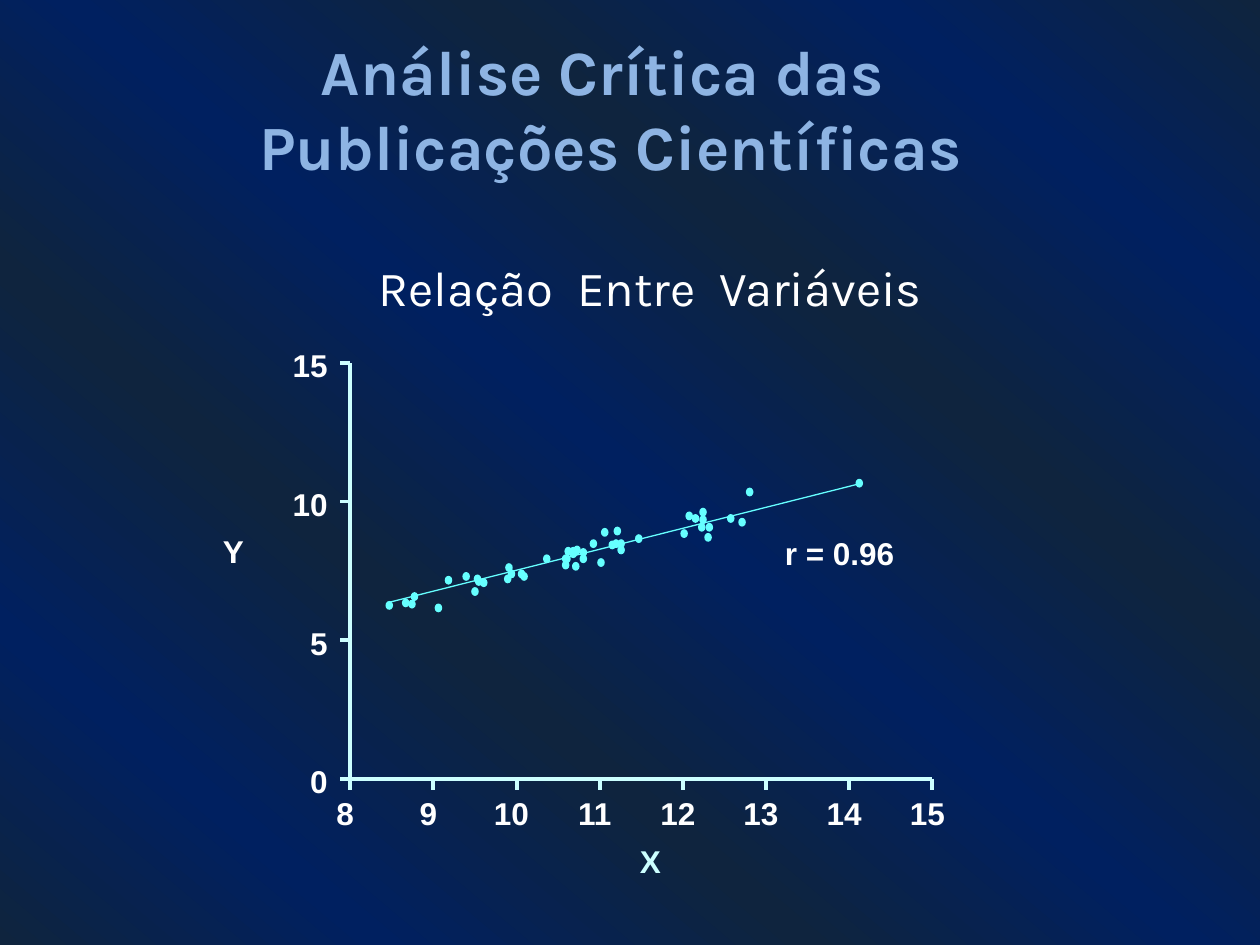
"""Build a slide with a hand-drawn scatter plot of two related variables."""
from dataclasses import dataclass

from lxml import etree
from pptx import Presentation
from pptx import util as u
from pptx.dml.color import RGBColor
from pptx.enum import shapes, text
from pptx.oxml.ns import qn


@dataclass(frozen=True)
class Theme:
    """Colours, fonts and sizes of the deck."""
    title: str = "8EB4E3"
    white: str = "FFFFFF"
    axis: str = "CCFFFF"
    dot: str = "66FFFF"
    dark: str = "0F243E"
    navy: str = "002060"
    heading_font: str = "Karla"
    label_font: str = "Arial"
    title_size: int = 36
    subtitle_size: int = 28
    label_size: int = 18
    axis_width: float = 2.25
    trend_width: float = 0.75


THEME = Theme()
COLUMNS, ROWS = 100, 75
ORIGIN_X, ORIGIN_Y = 27.8, 61.8
X_STEP, Y_STEP = 6.6, 11
X_TICKS, Y_TICKS = range(8, 16), range(0, 16, 5)
DOT_WIDTH, DOT_HEIGHT = 0.6, 0.7
DOTS = [
    (48.3, 42.9), (30.6, 47.7), (48.7, 41.8), (37.4, 46.6), (40.1, 44.7), (56, 41.5),
    (54.9, 40.8), (44.6, 44.5), (40, 45.6), (44.7, 44), (43.1, 44), (58.6, 41.1),
    (54.4, 40.6), (32.4, 47.6), (37.7, 45.8), (34.5, 47.9), (45.4, 44.6), (55.5, 40.9),
    (31.9, 47.5), (49, 42.8), (48.6, 42.8), (46, 43.5), (45.5, 43.3), (38.1, 45.9),
    (44.6, 44), (57.7, 40.8), (44.8, 43.4), (36.7, 45.4), (35.3, 45.7), (47.4, 44.3),
    (37.6, 45.6), (50.4, 42.4), (45.2, 43.4), (40.3, 45.2), (32.6, 47), (55.9, 42.3),
    (46.8, 42.8), (46, 44), (45.2, 43.6), (41.1, 45.2), (41.3, 45.4), (55.5, 40.3),
    (49, 43.3), (55.4, 41.5), (67.9, 38), (59.2, 38.7), (54, 42), (47.7, 41.9),
]


def write(para, words, *, size, color, font, bold=False, gap=0):
    """Add formatted text to a paragraph, widening its spaces by gap points."""
    pieces = [words]
    if gap:
        pieces = words.replace(" ", "| |").split("|")
    for piece in pieces:
        for number, line in enumerate(piece.split("\n")):
            if number:
                para.add_line_break()
            span = para.add_run()
            span.text = line
            span.font.size = u.Pt(size)
            span.font.name = font
            span.font.bold = bold
            span.font.color.rgb = RGBColor.from_string(color)
            if piece == " ":
                span.font._element.set("spc", str(gap * 100))


class Page:
    """Hold the theme and current slide, and draw on its grid."""

    def __init__(self, deck, theme):
        """Add a blank slide to the deck."""
        self.theme = theme
        self.column = deck.slide_width / COLUMNS
        self.row = deck.slide_height / ROWS
        self.slide = deck.slides.add_slide(deck.slide_layouts[6])

    def place(self, *lengths):
        """Turn alternating columns and rows into slide lengths."""
        units = (self.column, self.row) * 2
        return [u.Emu(round(length * unit)) for length, unit in zip(lengths, units)]

    def background(self, stops, angle):
        """Fill the background with a gradient of several stops."""
        self.slide.background.fill.gradient()
        gradient = self.slide.element.find(".//" + qn("a:gradFill"))
        stop_list = gradient.find(qn("a:gsLst"))
        for stop in list(stop_list):
            stop_list.remove(stop)
        for share, color in stops:
            stop = etree.SubElement(stop_list, qn("a:gs"), pos=str(share * 1000))
            etree.SubElement(stop, qn("a:srgbClr"), val=color)
        gradient.find(qn("a:lin")).set("ang", str(angle * 60000))

    def line(self, start, end, color, width):
        """Draw a straight line between two grid points."""
        line = self.slide.shapes.add_connector(
            shapes.MSO_CONNECTOR.STRAIGHT, *self.place(*start, *end))
        line.line.color.rgb = RGBColor.from_string(color)
        line.line.width = u.Pt(width)
        etree.SubElement(line._element.spPr, qn("a:effectLst"))

    def dot(self, left, top):
        """Draw one data point."""
        dot = self.slide.shapes.add_shape(
            shapes.MSO_SHAPE.OVAL, *self.place(left, top, DOT_WIDTH, DOT_HEIGHT))
        dot.shadow.inherit = False
        dot.fill.solid()
        dot.fill.fore_color.rgb = RGBColor.from_string(self.theme.dot)
        dot.line.fill.background()

    def text(self, words, area, *, align="LEFT", anchor="TOP", wrap=False,
             inset=(1, 0.5), indent=None, spacing=None, **style):
        """Place a text box and return nothing."""
        box = self.slide.shapes.add_textbox(*self.place(*area))
        frame = box.text_frame
        frame.word_wrap = wrap
        frame.vertical_anchor = text.MSO_ANCHOR[anchor]
        side, edge = self.place(*inset)
        frame.margin_left = frame.margin_right = side
        frame.margin_top = frame.margin_bottom = edge
        para = frame.paragraphs[0]
        para.alignment = text.PP_ALIGN[align]
        if spacing:
            para.line_spacing = spacing
        if indent:
            margin, first = self.place(*indent)
            para._p.get_or_add_pPr().set("marL", str(margin))
            para._p.get_or_add_pPr().set("indent", str(first))
        write(para, words, **style)

    def label(self, words, area, color=None, **layout):
        """Place a bold chart label."""
        self.text(words, area, size=self.theme.label_size, bold=True,
                  font=self.theme.label_font, color=color or self.theme.white, **layout)

    def axis_line(self, start, end):
        """Draw an axis or one of its ticks."""
        self.line(start, end, self.theme.axis, self.theme.axis_width)

    def axes(self):
        """Draw both axes with ticks and numbers."""
        right = ORIGIN_X + X_STEP * (len(X_TICKS) - 1)
        top = ORIGIN_Y - Y_STEP * (len(Y_TICKS) - 1)
        self.axis_line((ORIGIN_X, ORIGIN_Y), (right, ORIGIN_Y))
        self.axis_line((ORIGIN_X, ORIGIN_Y), (ORIGIN_X, top))
        for step, value in enumerate(X_TICKS):
            x = ORIGIN_X + step * X_STEP
            width = 1.4 * len(str(value))
            self.axis_line((x, ORIGIN_Y), (x, ORIGIN_Y + 0.9))
            self.label(str(value), (x - 0.4 - width / 2, 63, width, 3),
                       align="CENTER", inset=(0, 0))
        for step, value in enumerate(Y_TICKS):
            y = ORIGIN_Y - step * Y_STEP
            width = 1.4 * len(str(value))
            self.axis_line((ORIGIN_X, y), (ORIGIN_X - 0.8, y))
            self.label(str(value), (26 - width, y - 1.3, width, 3),
                       align="RIGHT", inset=(0, 0))


def main():
    """Build and save the deck."""
    deck = Presentation()
    deck.slide_width, deck.slide_height = u.Inches(10), u.Inches(7.5)
    page = Page(deck, THEME)
    shares = (0, 16, 33, 50, 66, 84, 100)
    page.background([(share, (THEME.dark, THEME.navy)[number % 2])
                     for number, share in enumerate(shares)], angle=130)
    page.text("Relação Entre Variáveis", (7.5, 19.2, 86.7, 45), align="CENTER",
              wrap=True, inset=(1, 0.8), indent=(6, -4.5), spacing=1.1, gap=7,
              size=THEME.subtitle_size, color=THEME.white, font=THEME.heading_font)
    page.line((30.9, 47.8), (68.2, 38.4), THEME.dot, THEME.trend_width)
    for left, top in DOTS:
        page.dot(left, top)
    page.axes()
    page.label("r = 0.96", (61.3, 41.9, 10.8, 4))
    page.label("X", (49.8, 66.3, 4.4, 5), color=THEME.axis)
    page.label("Y", (16.7, 41.7, 3.7, 4))
    page.text("Análise Crítica das \nPublicações Científicas", (3.9, 3, 89.1, 11.1),
              align="CENTER", anchor="MIDDLE", wrap=True, bold=True,
              size=THEME.title_size, color=THEME.title, font=THEME.heading_font)
    deck.save("out.pptx")


if __name__ == "__main__":
    main()
